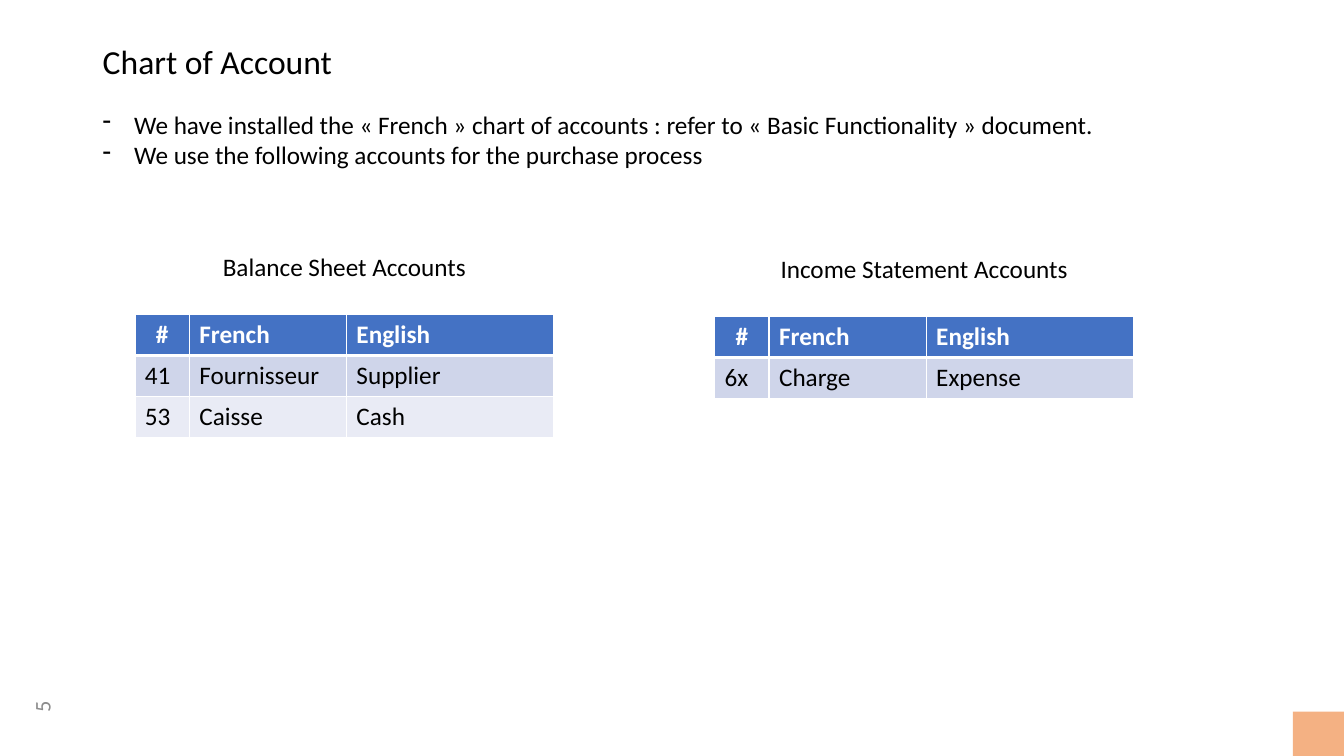
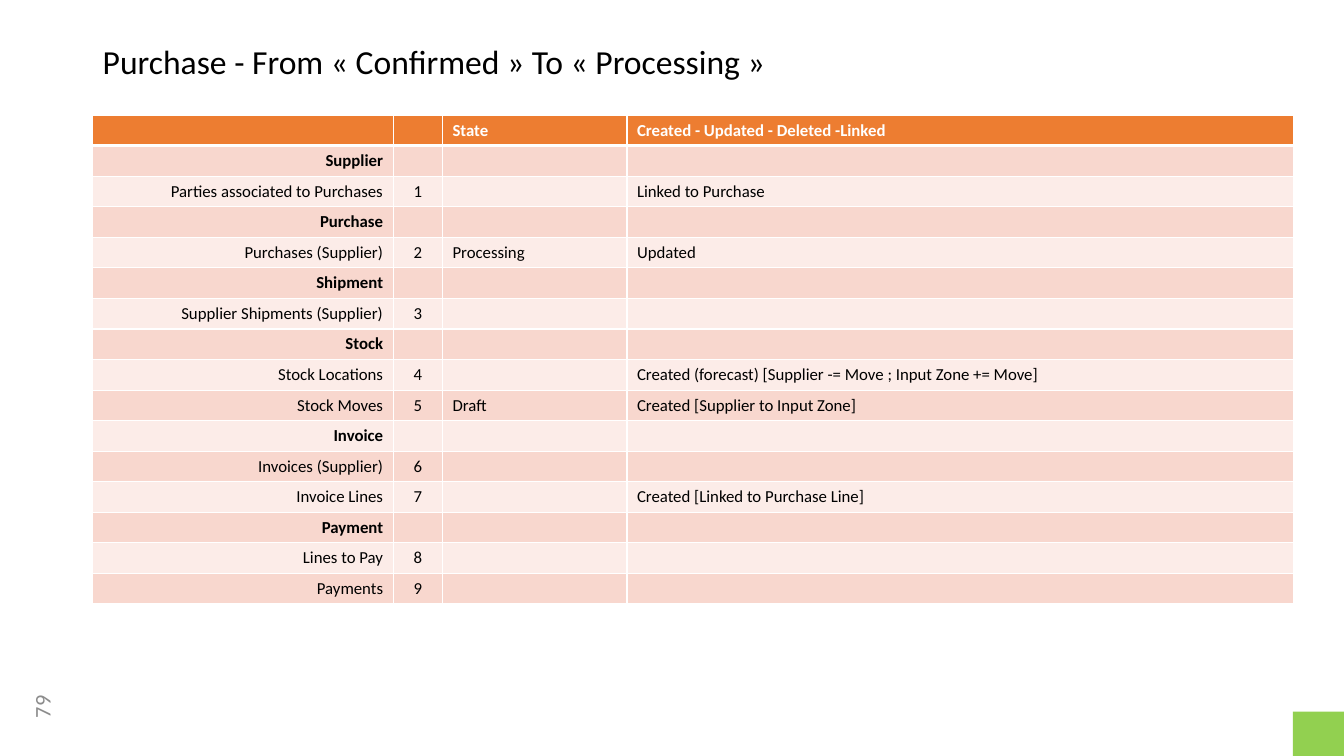
from dataclasses import dataclass, field
from itertools import zip_longest
from typing import Any, Optional

from lxml.etree import SubElement
from pptx import Presentation
from pptx.dml.color import RGBColor as Rgb
from pptx.enum.shapes import MSO_AUTO_SHAPE_TYPE as ShapeType
from pptx.enum.text import MSO_VERTICAL_ANCHOR as Anchor
from pptx.enum.text import PP_PARAGRAPH_ALIGNMENT as Align
from pptx.oxml.ns import qn
from pptx.slide import Slide
from pptx.table import _Cell as Cell
from pptx.util import Cm, Pt


@dataclass(frozen=True)
class Theme:
    font: str = "Calibri"
    black: str = "000000"
    white: str = "FFFFFF"
    grey: str = "8C8C8C"
    peach: str = "F4B183"
    green: str = "92D050"
    title_size: int = 24
    body_size: int = 18
    number_size: int = 16
    small_size: int = 12
    grid_line: float = 1
    header_line: float = 3


THEME = Theme()


@dataclass(frozen=True)
class Frame:
    left: float
    top: float
    width: float
    height: float

    def lengths(self) -> tuple[Cm, ...]:
        return tuple(Cm(v) for v in (self.left, self.top, self.width, self.height))


@dataclass(frozen=True)
class Column:
    heading: str
    width: float
    align: Align = Align.LEFT
    heading_align: Align = Align.LEFT


@dataclass(frozen=True)
class TableStyle:
    header: str
    bands: tuple[str, str]
    size: int
    row_height: float


@dataclass(frozen=True)
class TextStyle:
    size: int = THEME.body_size
    color: str = THEME.black
    bold: bool = False
    para: dict[str, Any] = field(default_factory=dict)
    bullet: str = ""


PAGE_WIDTH, PAGE_HEIGHT = 33.87, 19.05
MARGIN = 2.34
TITLE_FRAME = Frame(MARGIN, 1.02, 29.21, 1.3)
NUMBER_FRAME = Frame(0.1, 17.3, 1.9, 1.02)
CORNER_WIDTH, CORNER_HEIGHT = 1.29, 1.12
BULLET_INDENT = 0.79
CAPTION_HEIGHT, CAPTION_TO_TABLE = 1.02, 1.73

TITLE = TextStyle(THEME.title_size, para={"line_spacing": 0.9})
CAPTION = TextStyle(para={"alignment": Align.CENTER})
DASHED = TextStyle(bullet="-")
PAGE_NUMBER = TextStyle(THEME.number_size, THEME.grey, para={"alignment": Align.CENTER})

BLUE_TABLE = TableStyle("4472C4", ("CFD5EA", "E9EBF5"), THEME.body_size, 1.03)
ORANGE_TABLE = TableStyle("ED7D31", ("F8D7CE", "FCECE8"), THEME.small_size, 0.77)

ACCOUNT_COLUMNS = [
    Column("#", 1.37, heading_align=Align.CENTER),
    Column("French", 3.96),
    Column("English", 5.23),
]
STEP_COLUMNS = [
    Column("", 7.57, Align.RIGHT),
    Column("", 1.24, Align.CENTER),
    Column("State", 4.65),
    Column("Created - Updated - Deleted -Linked", 16.81),
]

INTRO = [
    "We have installed the « French » chart of accounts : refer to « Basic Functionality » document.",
    "We use the following accounts for the purchase process",
]
BALANCE_ROWS = [("41", "Fournisseur", "Supplier"), ("53", "Caisse", "Cash")]
INCOME_ROWS = [("6x", "Charge", "Expense")]
# A row with a single entry is a section heading.
STEP_ROWS = [
    ("Supplier",),
    ("Parties associated to Purchases", "1", "", "Linked to Purchase"),
    ("Purchase",),
    ("Purchases (Supplier)", "2", "Processing", "Updated"),
    ("Shipment",),
    ("Supplier Shipments (Supplier)", "3"),
    ("Stock",),
    ("Stock Locations", "4", "", "Created (forecast) [Supplier -= Move ; Input Zone += Move]"),
    ("Stock Moves", "5", "Draft", "Created [Supplier to Input Zone]"),
    ("Invoice",),
    ("Invoices (Supplier)", "6"),
    ("Invoice Lines", "7", "", "Created [Linked to Purchase Line]"),
    ("Payment",),
    ("Lines to Pay", "8"),
    ("Payments", "9"),
]


def apply_format(target: Any, values: dict[str, Any]) -> None:
    for name, value in values.items():
        setattr(target, name, value)


def write(para: Any, text: str, style: TextStyle) -> None:
    if style.bullet:
        indent = Cm(BULLET_INDENT)
        properties = para._p.get_or_add_pPr()
        properties.set("marL", str(indent))
        properties.set("indent", str(-indent))
        SubElement(properties, qn("a:buChar"), char=style.bullet)
    apply_format(para, style.para)
    if not text:
        # An empty cell keeps the row low only if its end mark has the size.
        SubElement(para._p, qn("a:endParaRPr"), sz=str(style.size * 100))
        return
    span = para.add_run()
    span.text = text
    apply_format(span.font, {"name": THEME.font, "size": Pt(style.size), "bold": style.bold})
    span.font.color.rgb = Rgb.from_string(style.color)


def add_text(
    page: Slide,
    frame: Frame,
    lines: list[str],
    style: TextStyle,
    anchor: Anchor = Anchor.TOP,
    rotation: float = 0,
) -> None:
    box = page.shapes.add_textbox(*frame.lengths())
    box.rotation = rotation
    apply_format(box.text_frame, {"word_wrap": True, "vertical_anchor": anchor})
    for index, line in enumerate(lines):
        para = box.text_frame.add_paragraph() if index else box.text_frame.paragraphs[0]
        write(para, line, style)


def set_borders(cell: Cell, top: float, bottom: float) -> None:
    side = THEME.grid_line
    widths = {"a:lnL": side, "a:lnR": side, "a:lnT": top, "a:lnB": bottom}
    properties = cell._tc.get_or_add_tcPr()
    for index, (tag, width) in enumerate(widths.items()):
        line = SubElement(properties, qn(tag), w=str(Pt(width)))
        SubElement(SubElement(line, qn("a:solidFill")), qn("a:srgbClr"), val=THEME.white)
        properties.insert(index, line)


def add_grid(
    page: Slide,
    left: float,
    top: float,
    columns: list[Column],
    rows: list[tuple[str, ...]],
    style: TableStyle,
) -> None:
    count = len(rows) + 1
    frame = Frame(left, top, sum(c.width for c in columns), count * style.row_height)
    table = page.shapes.add_table(count, len(columns), *frame.lengths()).table
    apply_format(table, {"first_row": False, "horz_banding": False})
    for grid_column, column in zip(table.columns, columns):
        grid_column.width = Cm(column.width)
    for row_index, row in enumerate([tuple(c.heading for c in columns), *rows]):
        table.rows[row_index].height = Cm(style.row_height)
        is_header = row_index == 0
        fill = style.header if is_header else style.bands[(row_index - 1) % 2]
        color = THEME.white if is_header else THEME.black
        bold = is_header or len(row) == 1
        line_above = THEME.header_line if row_index == 1 else THEME.grid_line
        line_below = THEME.header_line if is_header else THEME.grid_line
        for column_index, (column, text) in enumerate(zip_longest(columns, row, fillvalue="")):
            cell = table.cell(row_index, column_index)
            cell.fill.solid()
            cell.fill.fore_color.rgb = Rgb.from_string(fill)
            set_borders(cell, line_above, line_below)
            align = column.heading_align if is_header else column.align
            text_style = TextStyle(style.size, color, bold, {"alignment": align})
            write(cell.text_frame.paragraphs[0], text, text_style)


def add_accounts(
    page: Slide, left: float, top: float, caption: str, rows: list[tuple[str, ...]]
) -> None:
    width = sum(c.width for c in ACCOUNT_COLUMNS)
    add_text(page, Frame(left, top, width, CAPTION_HEIGHT), [caption], CAPTION)
    add_grid(page, left, top + CAPTION_TO_TABLE, ACCOUNT_COLUMNS, rows, BLUE_TABLE)


def add_page(deck: Any, title: str, number: int, corner_color: Optional[str]) -> Slide:
    """Add a page with its title, turned page number and coloured corner."""
    page = deck.slides.add_slide(deck.slide_layouts[6])
    add_text(page, TITLE_FRAME, [title], TITLE)
    add_text(page, NUMBER_FRAME, [str(number)], PAGE_NUMBER, Anchor.MIDDLE, 270)
    frame = Frame(
        PAGE_WIDTH - CORNER_WIDTH, PAGE_HEIGHT - CORNER_HEIGHT, CORNER_WIDTH, CORNER_HEIGHT
    )
    corner = page.shapes.add_shape(ShapeType.RECTANGLE, *frame.lengths())
    corner.shadow.inherit = False
    corner.fill.solid()
    corner.fill.fore_color.rgb = Rgb.from_string(corner_color)
    corner.line.fill.background()
    return page


def main() -> None:
    deck = Presentation()
    apply_format(deck, {"slide_width": Cm(PAGE_WIDTH), "slide_height": Cm(PAGE_HEIGHT)})

    accounts = add_page(deck, "Chart of Account", 5, THEME.peach)
    add_text(accounts, Frame(MARGIN, 2.62, 27.84, 1.8), INTRO, DASHED)
    add_accounts(accounts, 3.4, 6.2, "Balance Sheet Accounts", BALANCE_ROWS)
    add_accounts(accounts, 18.01, 6.25, "Income Statement Accounts", INCOME_ROWS)

    steps = add_page(deck, "Purchase - From « Confirmed » To « Processing »", 79, THEME.green)
    add_grid(steps, MARGIN, 2.9, STEP_COLUMNS, STEP_ROWS, ORANGE_TABLE)

    deck.save("out.pptx")


if __name__ == "__main__":
    main()
